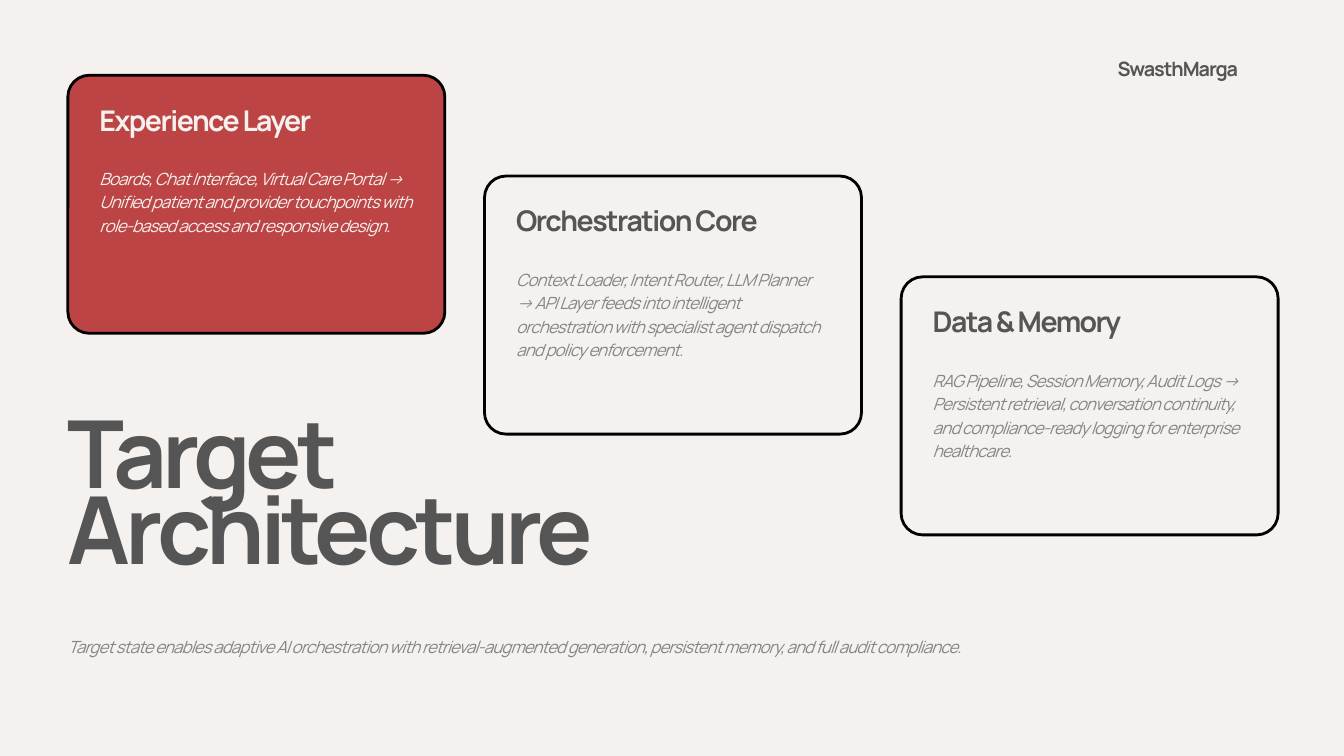
from pptx import Presentation
from pptx.dml.color import RGBColor as RGB
from pptx.enum.shapes import MSO_SHAPE as Shape
from pptx.util import Inches, Pt

COLORS = {
    "paper": "F5F1EE",
    "ink": "555555",
    "muted": "868686",
    "accent": "BC4445",
    "outline": "000000",
}


class Deck:
    """Holds the style and the current slide."""

    font = "Manrope"
    corner = 0.32

    def __init__(self, width, height):
        self.prs = Presentation()
        self.prs.slide_width = Inches(width)
        self.prs.slide_height = Inches(height)
        self.slide = self.prs.slides.add_slide(self.prs.slide_layouts[6])
        self.fill(self.slide.background.fill, "paper")

    def fill(self, target, color):
        target.solid()
        target.fore_color.rgb = RGB.from_string(COLORS[color])

    def panel(self, left, top, width, height, color):
        panel = self.slide.shapes.add_shape(
            Shape.ROUNDED_RECTANGLE,
            Inches(left), Inches(top), Inches(width), Inches(height))
        panel.adjustments[0] = self.corner / min(width, height)
        panel.shadow.inherit = False
        self.fill(panel.fill, color)
        self.fill(panel.line.fill, "outline")
        panel.line.width = Pt(3)

    def text(self, words, left, top, width, height, size, leading, tracking,
             color="ink", bold=False, italic=False):
        frame = self.slide.shapes.add_textbox(
            Inches(left), Inches(top), Inches(width), Inches(height)).text_frame
        frame.word_wrap = True
        frame.margin_left = frame.margin_right = 0
        frame.margin_top = frame.margin_bottom = 0
        paragraph = frame.paragraphs[0]
        paragraph.line_spacing = Pt(leading)
        font = paragraph.font
        font.name, font.size = self.font, Pt(size)
        font.bold, font.italic = bold, italic
        self.fill(font.fill, color)
        run = paragraph.add_run()
        run.text = words
        # Letter spacing, in hundredths of a point
        run._r.get_or_add_rPr().set("spc", str(round(tracking * 100)))

    def heading(self, words, left, top, width, height, size, leading, tracking,
                color="ink"):
        self.text(words, left, top, width, height, size, leading, tracking,
                  color, bold=True)

    def body(self, words, left, top, width, height, color="muted"):
        self.text(words, left, top, width, height, 18, 25.2, -0.9,
                  color, italic=True)

    def card(self, title, details, left, top, panel_color, title_color,
             body_color):
        self.panel(left, top, 5.61, 3.84, panel_color)
        inner = left + 0.47
        self.heading(title, inner, top + 0.32, 3.8, 0.6, 30.5, 42.8, -1.6,
                     title_color)
        self.body(details, inner, top + 1.34, 4.65, 1.39, body_color)


LAYERS = [
    ("Experience Layer",
     "Boards, Chat Interface, Virtual Care Portal → Unified patient and "
     "provider touchpoints with role-based access and responsive design.",
     "accent", "paper", "paper"),
    ("Orchestration Core",
     "Context Loader, Intent Router, LLM Planner → API Layer feeds into "
     "intelligent orchestration with specialist agent dispatch and policy "
     "enforcement.",
     "paper", "ink", "muted"),
    ("Data & Memory",
     "RAG Pipeline, Session Memory, Audit Logs → Persistent retrieval, "
     "conversation continuity, and compliance-ready logging for enterprise "
     "healthcare.",
     "paper", "ink", "muted"),
]


def main():
    deck = Deck(20, 11.25)
    margin = 1.01

    # Product name and title
    deck.heading("SwasthMarga", 16.63, 0.79, 2.33, 0.41, 21.2, 29.8, -1.1)
    deck.heading("Target Architecture", margin, 6.42, 8.22, 2.49,
                 100.5, 81.4, -5.2)

    # Layer cards, stepping down to the right
    for step, (title, details, *colors) in enumerate(LAYERS):
        deck.card(title, details, margin + 6.2 * step, 1.12 + 1.5 * step,
                  *colors)

    # Closing statement
    deck.body("Target state enables adaptive AI orchestration with "
              "retrieval-augmented generation, persistent memory, and full "
              "audit compliance.", margin, 9.42, 13.94, 0.7)

    deck.prs.save("out.pptx")


if __name__ == "__main__":
    main()
